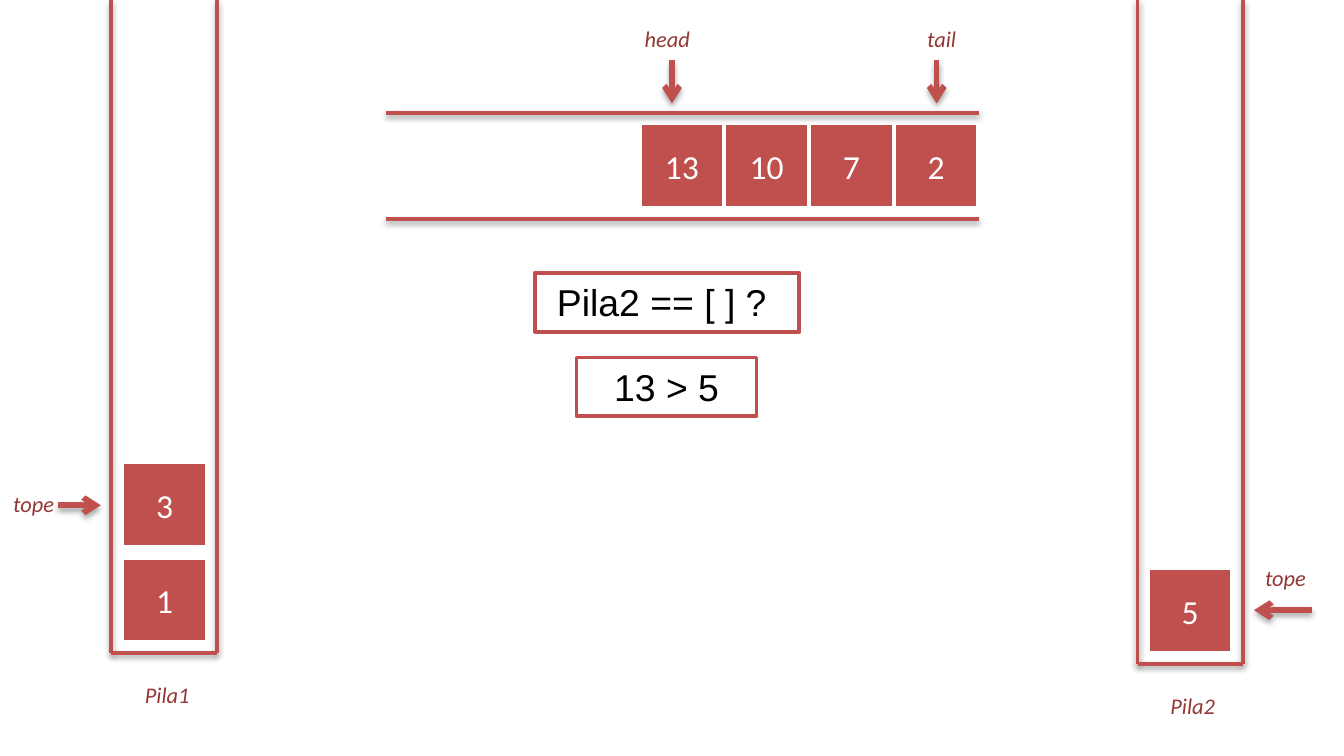
from lxml.etree import SubElement
from pptx import Presentation
from pptx.dml.color import RGBColor
from pptx.enum.shapes import MSO_CONNECTOR, MSO_SHAPE
from pptx.enum.text import MSO_ANCHOR, PP_ALIGN
from pptx.oxml.ns import qn
from pptx.util import Pt

RED = RGBColor(0xC0, 0x50, 0x4D)
DARK = RGBColor(0x95, 0x37, 0x35)
WHITE = RGBColor(0xFF, 0xFF, 0xFF)
BLACK = RGBColor(0, 0, 0)
CELL = 45.36

deck = Presentation()
deck.slide_width, deck.slide_height = Pt(720), Pt(405)
slide = deck.slides.add_slide(deck.slide_layouts[6])
shapes = slide.shapes


def write(shape, text, size, face, color, anchor, align=PP_ALIGN.CENTER):
    frame = shape.text_frame
    frame.word_wrap = True
    frame.vertical_anchor = anchor
    para = frame.paragraphs[0]
    para.alignment = align
    run = para.add_run()
    run.text = text
    run.font.size = Pt(size)
    run.font.name = face
    run.font.color.rgb = color
    return run


def draw(start, end, width=2, arrow=False):
    line = shapes.add_connector(MSO_CONNECTOR.STRAIGHT, *map(Pt, start + end))
    line.line.color.rgb = RED
    line.line.width = Pt(width)
    if arrow:
        SubElement(line.line._get_or_add_ln(), qn("a:tailEnd"), type="arrow")
    effects = SubElement(line._element.spPr, qn("a:effectLst"))
    shadow = SubElement(effects, qn("a:outerShdw"), blurRad=str(Pt(3.1)),
                        dist=str(Pt(1.8 if arrow else 1.6)), dir="5400000", rotWithShape="0")
    color = SubElement(shadow, qn("a:srgbClr"), val="000000")
    SubElement(color, qn("a:alpha"), val="35000" if arrow else "38000")


cells = [("3", 65.5, 247.7), ("1", 65.5, 298.8), ("5", 614.9, 304.6)]
cells += [(num, 342.72 + i * CELL, 66.24) for i, num in enumerate(["13", "10", "7", "2"])]
for num, left, top in cells:
    cell = shapes.add_shape(MSO_SHAPE.RECTANGLE, Pt(left), Pt(top), Pt(CELL), Pt(CELL))
    cell.shadow.inherit = False
    cell.fill.solid()
    cell.fill.fore_color.rgb = RED
    cell.line.color.rgb = WHITE
    cell.line.width = Pt(2)
    write(cell, num, 18, "Calibri", WHITE, MSO_ANCHOR.MIDDLE)

for text, left, top, width in [("Pila2 == [ ] ? ", 286.5, 146.2, 141.8),
                               ("13 > 5", 308.9, 191.5, 96.5)]:
    test = shapes.add_shape(MSO_SHAPE.RECTANGLE, Pt(left), Pt(top), Pt(width), Pt(31.5))
    test.shadow.inherit = False
    test.fill.solid()
    test.fill.fore_color.rgb = WHITE
    test.line.color.rgb = RED
    test.line.width = Pt(2)
    write(test, text, 20, "Arial", BLACK, MSO_ANCHOR.TOP)

for text, left, top, width, align in [
    ("head", 337.7, 10.1, 39.6, PP_ALIGN.CENTER),
    ("tail", 484.6, 10.1, 39.6, PP_ALIGN.CENTER),
    ("Pila1", 65.5, 361.4, 48.2, PP_ALIGN.CENTER),
    ("Pila2", 614.9, 367.2, 48.2, PP_ALIGN.CENTER),
    ("tope", 666, 298.8, 45.4, PP_ALIGN.CENTER),
    ("tope", 0, 259.2, 42.5, PP_ALIGN.LEFT),
]:
    label = shapes.add_textbox(Pt(left), Pt(top), Pt(width), Pt(21.8))
    write(label, text, 12, "Calibri", DARK, MSO_ANCHOR.TOP, align).font.italic = True

for start, end in [((360, 32.4), (360, 55.4)), ((501.8, 32.4), (501.8, 55.4)),
                   ((702.7, 326.9), (671.8, 326.9)), ((31, 270.7), (54, 270.7))]:
    draw(start, end, 3, True)

for y in (60.7, 117.4):
    draw((206.8, y), (524.3, y))

for left, right, base in [(609.4, 666, 355.7), (59.5, 116.2, 349.9)]:
    for x in (left, right):
        draw((x, 0), (x, base))
    draw((left, base), (right, base))

deck.save("out.pptx")
